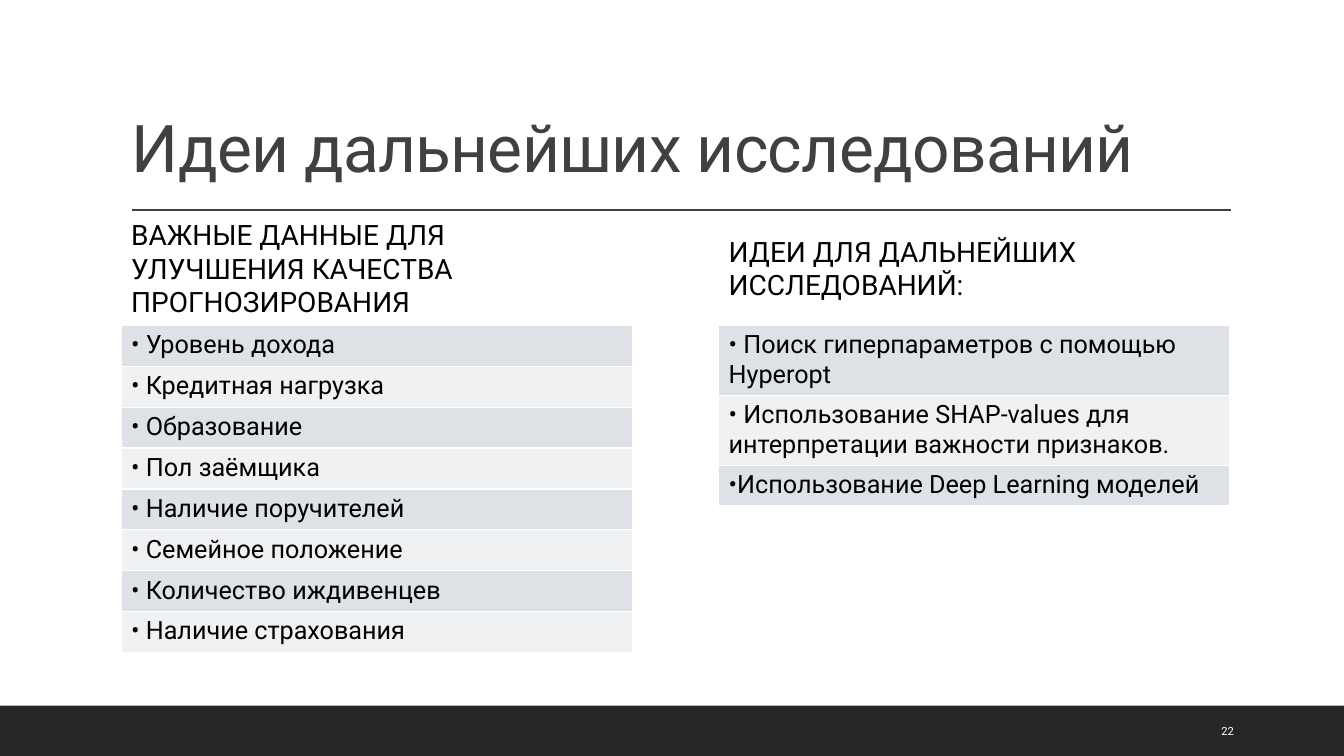
from lxml import etree
from pptx import Presentation
from pptx.dml.color import RGBColor
from pptx.enum.shapes import MSO_CONNECTOR, MSO_SHAPE
from pptx.enum.text import MSO_ANCHOR, MSO_AUTO_SIZE, PP_ALIGN
from pptx.oxml.ns import qn
from pptx.util import Cm, Pt

RECT, STRAIGHT = MSO_SHAPE.RECTANGLE, MSO_CONNECTOR.STRAIGHT
BOTTOM, MIDDLE = MSO_ANCHOR.BOTTOM, MSO_ANCHOR.MIDDLE
LEFT, NO_FIT = PP_ALIGN.LEFT, MSO_AUTO_SIZE.NONE

FONT = "Roboto"
COLORS = {"footer": "262626", "title": "404040", "text": "000000",
          "white": "FFFFFF", "odd": "DEE1E6", "even": "EFF1F3"}
W, H = 33.87, 19.05
MARGIN, COL_W, COL_STEP = 3.05, 12.88, 15.06
HEAD_TOP, HEAD_H, TABLE_TOP = 5.72, 2.06, 8.2
LINE_H, CELL_PAD = 0.73, 0.3

# Each column: heading, then its rows as (text, number of lines)
COLUMNS = [
    ("ВАЖНЫЕ ДАННЫЕ ДЛЯ УЛУЧШЕНИЯ КАЧЕСТВА ПРОГНОЗИРОВАНИЯ", [
        ("• Уровень дохода", 1),
        ("• Кредитная нагрузка", 1),
        ("• Образование", 1),
        ("• Пол заёмщика", 1),
        ("• Наличие поручителей", 1),
        ("• Семейное положение", 1),
        ("• Количество иждивенцев", 1),
        ("• Наличие страхования", 1),
    ]),
    ("ИДЕИ ДЛЯ ДАЛЬНЕЙШИХ ИССЛЕДОВАНИЙ:", [
        ("• Поиск гиперпараметров с помощью Hyperopt", 2),
        ("• Использование SHAP-values для интерпретации важности признаков.", 2),
        ("•Использование Deep Learning моделей", 1),
    ]),
]


def rgb(name):
    return RGBColor.from_string(COLORS[name])


def write(tf, text, size, color):
    """Fill a text frame with one left-aligned paragraph and return it."""
    tf.text = text
    p = tf.paragraphs[0]
    p.alignment = LEFT
    font = p.runs[0].font
    font.name, font.size, font.bold = FONT, Pt(size), False
    font.color.rgb = rgb(color)
    return p


def place(sp, x, y, w, h, anchor):
    sp.left, sp.top, sp.width, sp.height = Cm(x), Cm(y), Cm(w), Cm(h)
    tf = sp.text_frame
    tf.word_wrap, tf.auto_size, tf.vertical_anchor = True, NO_FIT, anchor
    return tf


def add_footer(s, x, y, w, h):
    bar = s.shapes.add_shape(RECT, Cm(x), Cm(y), Cm(w), Cm(h))
    bar.shadow.inherit = False
    bar.fill.solid()
    bar.fill.fore_color.rgb = rgb("footer")
    bar.line.fill.background()
    number = s.shapes.add_textbox(0, 0, 0, 0)
    tf = place(number, x + w - 3.34, y + 0.13, 2.16, 1.02, MIDDLE)
    write(tf, "22", 8, "white")


def add_title(s, x, y, w, h):
    tf = place(s.shapes.title, x, y, w, h, BOTTOM)
    p = write(tf, "Идеи дальнейших исследований", 47, "title")
    p.line_spacing = 0.9
    p.runs[0].font._element.set("spc", "-50")
    rule_y = Cm(y + h + 0.46)
    rule = s.shapes.add_connector(STRAIGHT, Cm(x + 0.28), rule_y, Cm(x + w + 0.02), rule_y)
    rule.line.color.rgb = rgb("title")
    rule.line.width = Pt(1)
    etree.SubElement(rule._element.spPr, qn("a:effectLst"))


def add_heading(sp, text, x, y, w, h):
    p = write(place(sp, x, y, w, h, MIDDLE), text, 20, "text")
    p.space_before, p.space_after = Pt(12), Pt(2)


def add_borders(cell):
    tcPr = cell._tc.get_or_add_tcPr()
    for side in ("lnL", "lnR", "lnT", "lnB"):
        ln = etree.SubElement(tcPr, qn(f"a:{side}"), w=str(Pt(1)))
        fill = etree.SubElement(ln, qn("a:solidFill"))
        etree.SubElement(fill, qn("a:srgbClr"), val=COLORS["white"])


def add_list_table(s, rows, x, y, w):
    heights = [Cm(lines * LINE_H + CELL_PAD) for _, lines in rows]
    table = s.shapes.add_table(len(rows), 1, Cm(x), Cm(y), Cm(w), sum(heights)).table
    table.first_row = table.horz_banding = False
    for i, (text, _) in enumerate(rows):
        table.rows[i].height = heights[i]
        cell = table.cell(i, 0)
        add_borders(cell)
        cell.fill.solid()
        cell.fill.fore_color.rgb = rgb("even" if i % 2 else "odd")
        write(cell.text_frame, text, 18, "text")


def main():
    prs = Presentation()
    prs.slide_width, prs.slide_height = Cm(W), Cm(H)
    s = prs.slides.add_slide(prs.slide_layouts.get_by_name("Comparison"))
    _, left_head, left_body, right_head, right_body = list(s.placeholders)
    for sp in (left_body, right_body):
        sp._element.getparent().remove(sp._element)

    add_footer(s, 0, H - 1.27, W, 1.27)
    add_title(s, MARGIN, 0.79, 27.94, 4.04)
    for i, (head, (text, rows)) in enumerate(zip((left_head, right_head), COLUMNS)):
        x = MARGIN + i * COL_STEP
        add_heading(head, text, x, HEAD_TOP, COL_W, HEAD_H)
        add_list_table(s, rows, x, TABLE_TOP, COL_W)
    prs.save("out.pptx")


if __name__ == "__main__":
    main()
